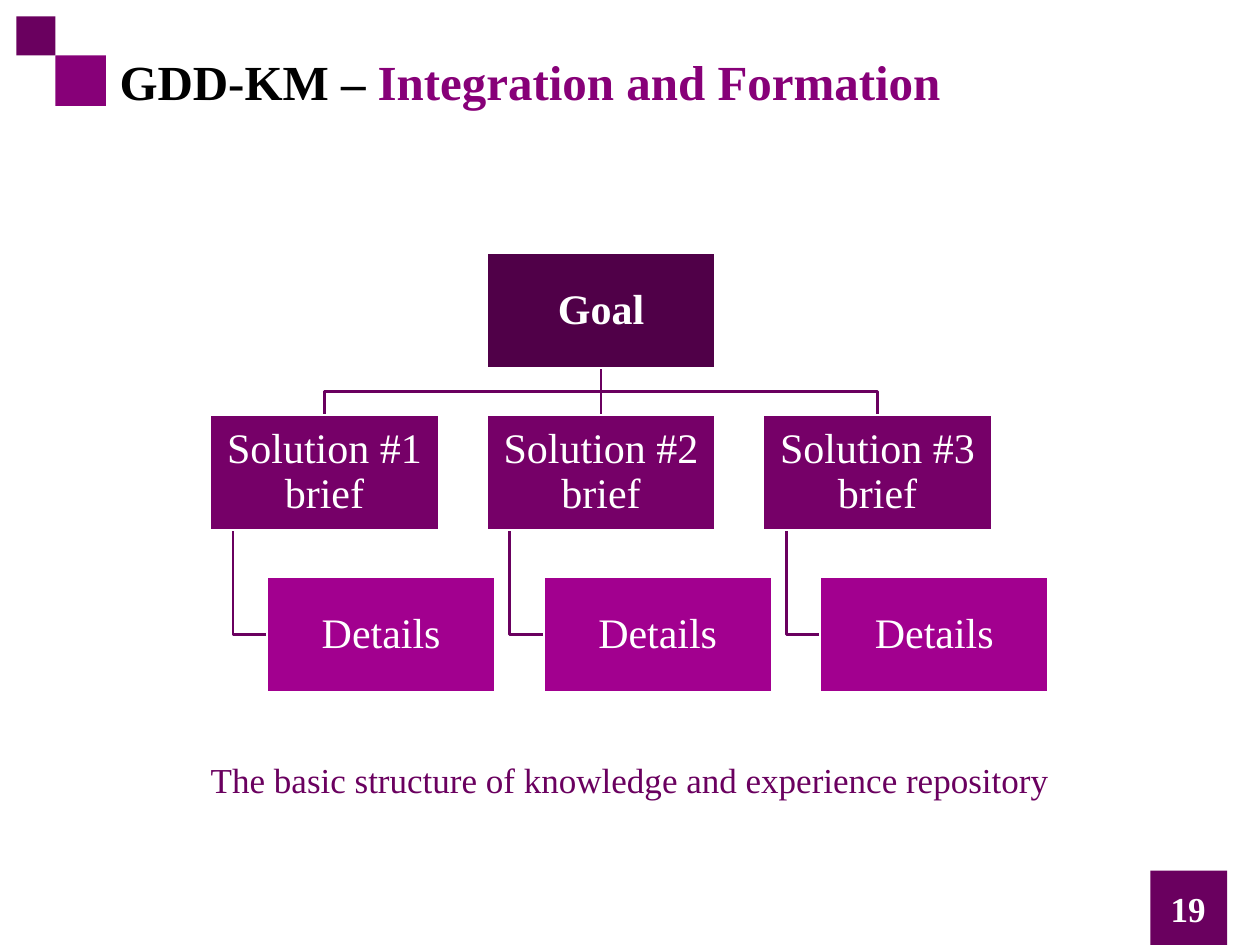
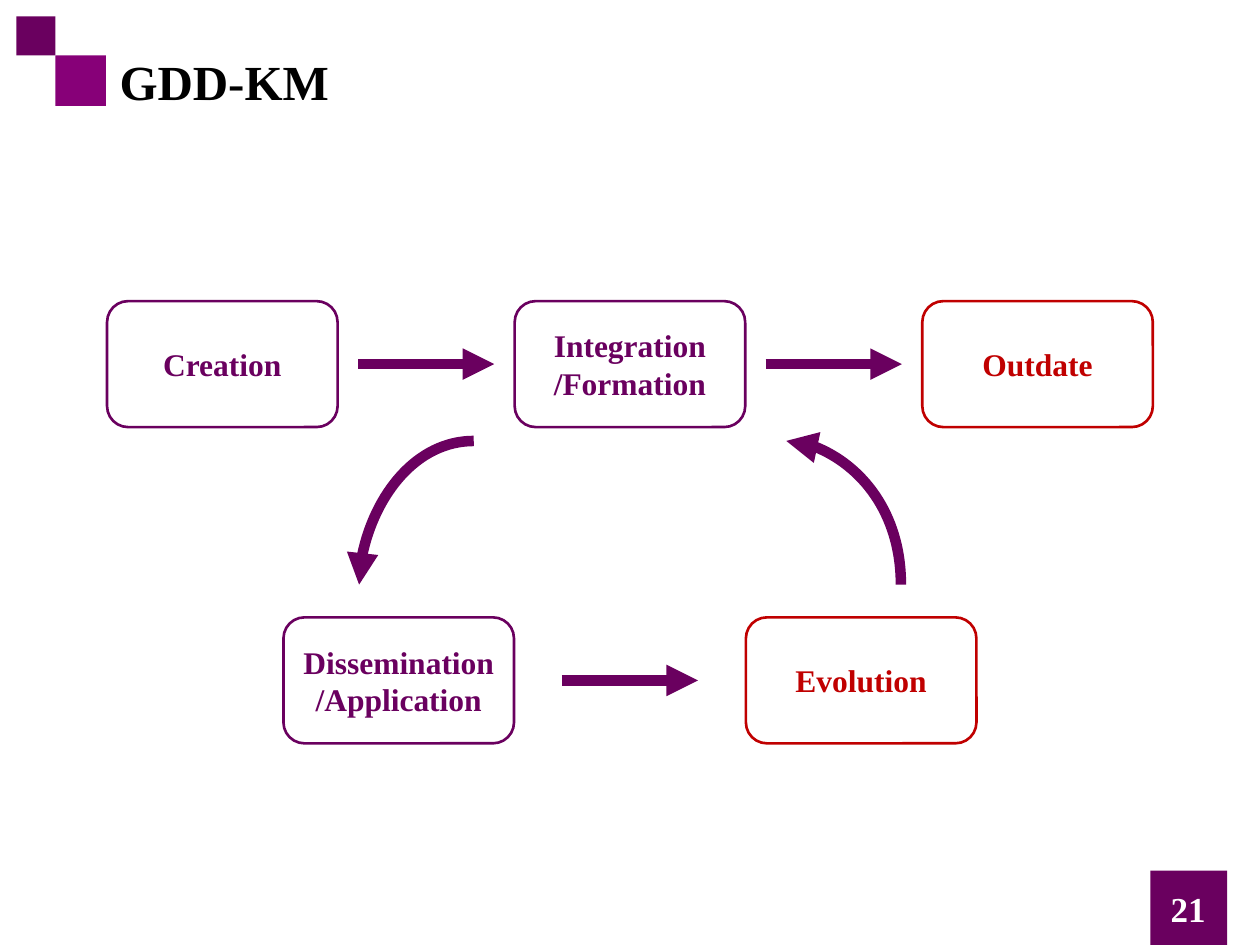
from dataclasses import dataclass

from lxml import etree
from pptx import Presentation
from pptx import util as u
from pptx.dml.color import RGBColor
from pptx.enum import shapes, text
from pptx.oxml.ns import qn

In = u.Inches
Kind = shapes.MSO_SHAPE
Mid = text.PP_ALIGN.CENTER


@dataclass(frozen=True)
class Theme:
    font: str = "Times New Roman"
    black: str = "000000"
    white: str = "FFFFFF"
    plum: str = "6A005F"
    bright: str = "870078"
    red: str = "C00000"
    tiers: tuple = ("500048", "760068", "A2008F")
    head: int = 28
    node: int = 24
    note: int = 20
    step: int = 18
    thin: float = 1
    line: float = 1.5
    thick: float = 6


T = Theme()


def rgb(code):
    return RGBColor.from_string(code)


def style(run, size, color, bold=False):
    font = run.font
    font.name, font.size, font.bold = T.font, u.Pt(size), bold
    font.color.rgb = rgb(color)


def write(shape, words, size, color, bold=False, align=Mid):
    """Fill a shape with one paragraph per line of words."""
    frame = shape.text_frame
    frame.text = words
    frame.word_wrap = True
    frame.vertical_anchor = text.MSO_ANCHOR.MIDDLE
    for para in frame.paragraphs:
        para.alignment = align
        for run in para.runs:
            style(run, size, color, bold)
    return frame


def label(slide, box, words, size, color, **look):
    area = slide.shapes.add_textbox(*map(In, box))
    return write(area, words, size, color, **look)


def block(slide, box, fill, edge=None, width=T.line, kind=Kind.RECTANGLE):
    shape = slide.shapes.add_shape(kind, *map(In, box))
    shape.shadow.inherit = False
    shape.fill.solid()
    shape.fill.fore_color.rgb = rgb(fill)
    if edge:
        shape.line.color.rgb = rgb(edge)
        shape.line.width = u.Pt(width)
    else:
        shape.line.fill.background()
    return shape


def frame(deck, title, accent, page):
    """Add a slide with the corner squares, title and page number."""
    slide = deck.slides.add_slide(deck.slide_layouts[6])
    block(slide, (9.13, 6.91, 0.61, 0.59), T.plum)
    block(slide, (0.44, 0.44, 0.4, 0.4), T.bright)
    block(slide, (0.13, 0.13, 0.31, 0.31), T.plum)
    label(slide, (8.86, 7.01, 1.14, 0.4), page, T.note, T.white, bold=True)
    head = label(slide, (0.85, 0.36, 8.89, 0.57), title, T.head, T.black,
                 bold=True, align=text.PP_ALIGN.LEFT)
    if accent:
        run = head.paragraphs[0].add_run()
        run.text = accent
        style(run, T.head, T.bright, True)
    return slide


def route(slide, *points):
    """Draw an open line through the points."""
    start, *rest = [(In(x), In(y)) for x, y in points]
    pen = slide.shapes.build_freeform(*start)
    pen.add_line_segments(rest, close=False)
    shape = pen.convert_to_shape()
    shape.shadow.inherit = False
    shape.fill.background()
    shape.line.color.rgb = rgb(T.plum)
    shape.line.width = u.Pt(T.line)


def arrow(slide, start, end, kind=shapes.MSO_CONNECTOR.STRAIGHT):
    link = slide.shapes.add_connector(kind, *map(In, start + end))
    link.line.color.rgb = rgb(T.plum)
    link.line.width = u.Pt(T.thick)
    tip = etree.SubElement(link.line._get_or_add_ln(), qn("a:tailEnd"))
    tip.set("type", "triangle")
    etree.SubElement(link.element.spPr, qn("a:effectLst"))
    return link


def bend(slide, box, turn):
    """Draw a quarter-curve arrow in the box, flipped and turned by degrees."""
    x, y, w, h = box
    if turn % 180:
        x, y, w, h = x + (w - h) / 2, y + (h - w) / 2, h, w
    link = arrow(slide, (x, y), (x + w, y + h), shapes.MSO_CONNECTOR.CURVE)
    props = link.element.spPr
    props.find(qn("a:prstGeom")).set("prst", "curvedConnector2")
    form = props.find(qn("a:xfrm"))
    form.set("rot", str(turn * 60000))
    form.set("flipV", "1")


def node(slide, box, words, tier):
    shape = block(slide, box, T.tiers[tier], T.white, T.thin)
    body = write(shape, words, T.node, T.white, bold=tier == 0)
    body.margin_left = body.margin_right = In(0.02)
    body.margin_top = body.margin_bottom = In(0.02)
    body.paragraphs[0].line_spacing = 0.9


def tree(slide, box, goal, briefs, detail):
    """Draw the goal above its briefs, each with an indented detail."""
    x, y, w, h = box
    wide, high, indent, stem = 1.81, 0.91, 0.45, 0.18
    gap = (w - indent - wide) / (len(briefs) - 1)
    row = (h - high) / 2
    top = x + (w - indent - wide) / 2
    mid = top + wide / 2
    fork = y + (high + row) / 2
    lefts = [x + i * gap for i in range(len(briefs))]
    for left in lefts:
        hub = left + wide / 2
        points = [(mid, y + high), (mid, fork), (hub, fork), (hub, y + row)]
        if abs(hub - mid) < 0.01:
            points = [points[0], points[-1]]
        route(slide, *points)
        side, base = left + stem, y + 2 * row + high / 2
        route(slide, (side, y + row + high), (side, base),
              (left + indent, base))
    node(slide, (top, y, wide, high), goal, 0)
    for left, brief in zip(lefts, briefs):
        node(slide, (left, y + row, wide, high), brief, 1)
        node(slide, (left + indent, y + 2 * row, wide, high), detail, 2)


def steps(slide, box, items):
    """Spread rounded steps over the box, with arrows centred in the gaps."""
    x, y, w, h = box
    wide, reach = 1.83, 1.08
    pitch = (w - wide) / (len(items) - 1)
    for i, (words, color) in enumerate(items):
        left = x + i * pitch
        shape = block(slide, (left, y, wide, h), T.white, color,
                      kind=Kind.ROUNDED_RECTANGLE)
        write(shape, words, T.step, color, bold=True)
        if i:
            tail = left - (pitch - wide + reach) / 2
            arrow(slide, (tail, y + h / 2), (tail + reach, y + h / 2))


def cycle(slide, box, upper, lower):
    x, y, w, h = box
    high, inset = 1, 1.4
    steps(slide, (x, y, w, high), upper)
    steps(slide, (x + inset, y + h - high, w - 2 * inset, high), lower)
    side, drop, wide, tall = 2, 1.11, 0.91, 1.14
    bend(slide, (x + side, y + drop, wide, tall), 180)
    bend(slide, (x + w - side - wide, y + drop, wide, tall), 270)


def main():
    deck = Presentation()
    deck.slide_width, deck.slide_height = In(10), In(7.5)

    slide = frame(deck, "GDD-KM – ", "Integration and Formation", "19")
    label(slide, (1.55, 5.97, 6.9, 0.44),
          "The basic structure of knowledge and experience repository",
          T.note, T.plum)
    tree(slide, (1.67, 2.01, 6.65, 3.48), "Goal",
         [f"Solution #{n} brief" for n in (1, 2, 3)], "Details")

    slide = frame(deck, "GDD-KM", None, "21")
    cycle(slide, (0.85, 2.39, 8.3, 3.51),
          [("Creation", T.plum), ("Integration\n/Formation", T.plum),
           ("Outdate", T.red)],
          [("Dissemination/Application", T.plum), ("Evolution", T.red)])

    deck.save("out.pptx")


if __name__ == "__main__":
    main()
